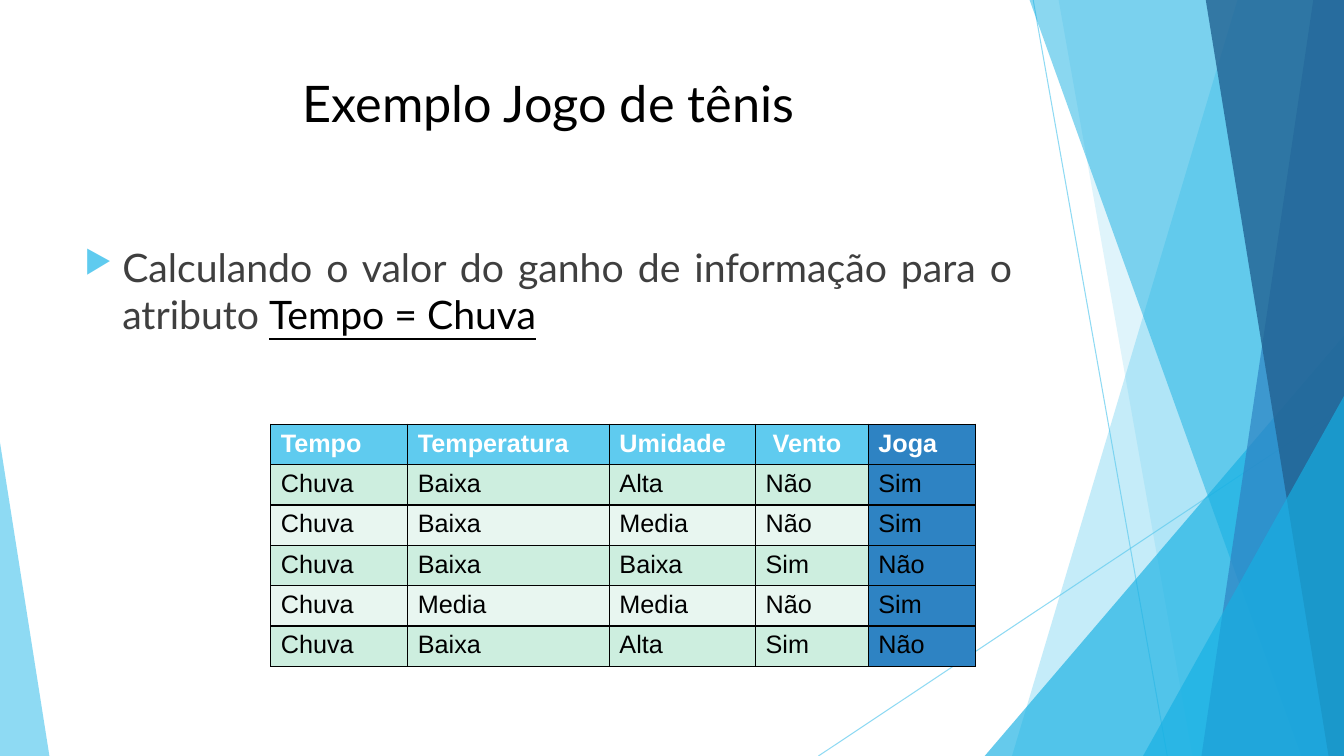
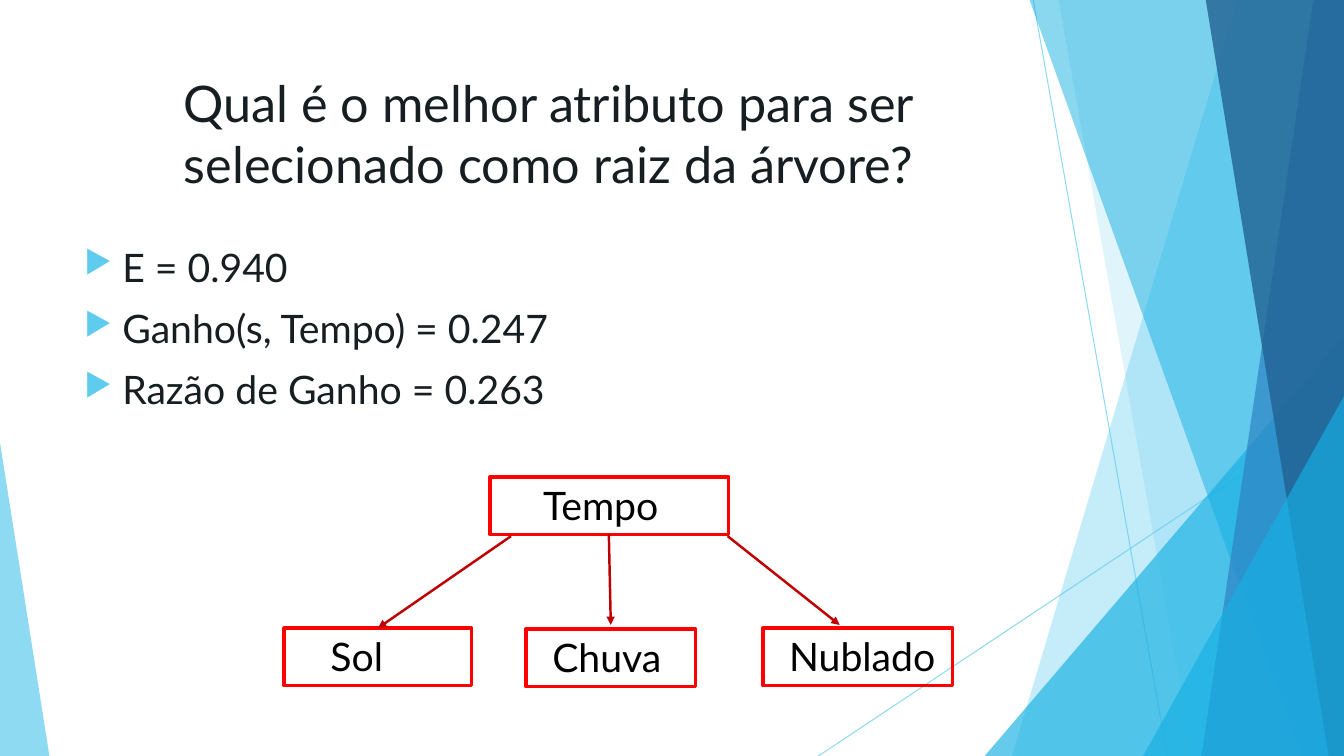
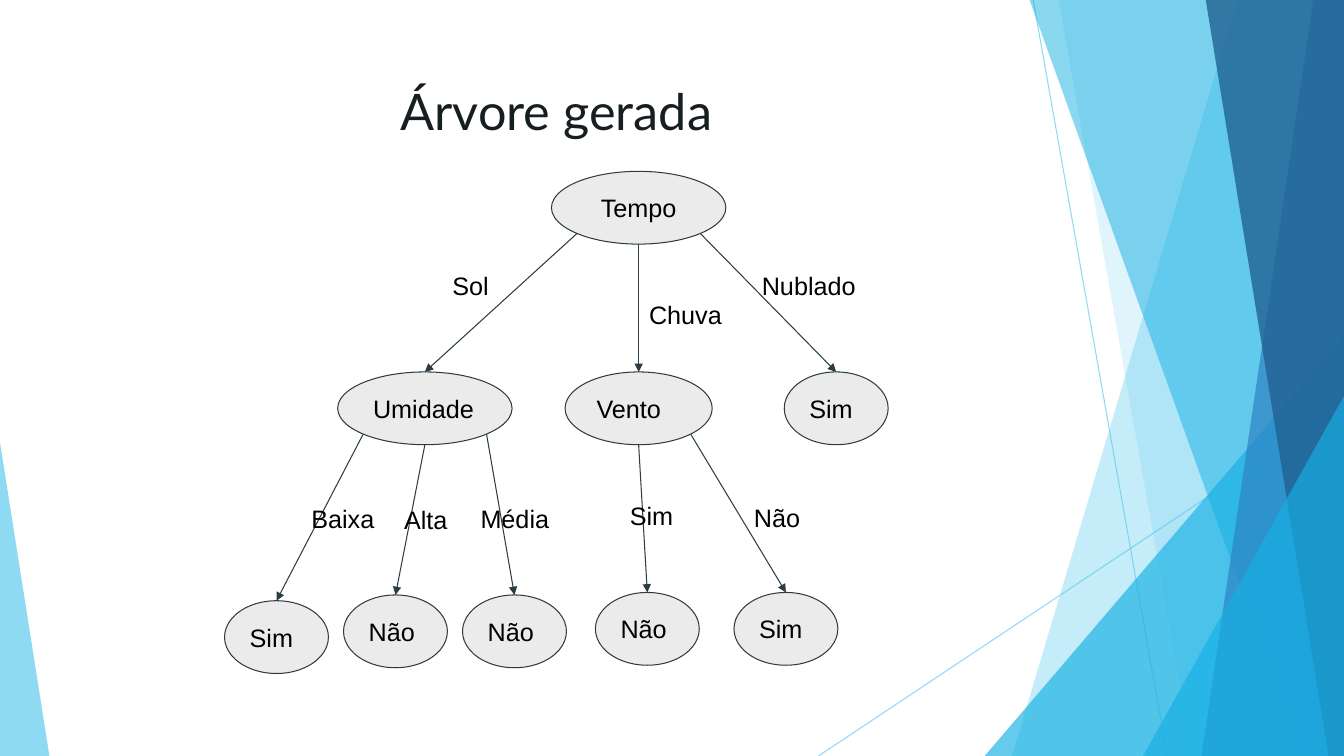
import pptx
import pptx.dml.color
import pptx.enum.shapes
import pptx.enum.text
import pptx.oxml
import pptx.oxml.ns
import pptx.util
from lxml import etree

Pt = pptx.util.Pt
RGBColor = pptx.dml.color.RGBColor
SHAPE = pptx.enum.shapes.MSO_SHAPE
STRAIGHT = pptx.enum.shapes.MSO_CONNECTOR.STRAIGHT
ALIGN = pptx.enum.text.PP_ALIGN
ANCHOR = pptx.enum.text.MSO_ANCHOR
qn = pptx.oxml.ns.qn

# Colours
SKY = RGBColor(0x5F, 0xCB, 0xEF)
CYAN = RGBColor(0x16, 0xB0, 0xE3)
BLUE = RGBColor(0x2E, 0x83, 0xC3)
NAVY = RGBColor(0x22, 0x62, 0x92)
BLACK = RGBColor(0, 0, 0)
WHITE = RGBColor(0xFF, 0xFF, 0xFF)
INK = RGBColor(0x16, 0x1E, 0x21)
GREY = RGBColor(0x3F, 0x3F, 0x3F)
SLATE = RGBColor(0x2C, 0x3C, 0x43)
NODE = RGBColor(0xEB, 0xEB, 0xEB)
RED = RGBColor(0xFF, 0, 0)
DARK_RED = RGBColor(0xC0, 0, 0)
BANDS = (RGBColor(0xE8, 0xF6, 0xF0), RGBColor(0xCD, 0xEE, 0xDF))

# Sizes and text formats
W, H = 960, 540
DIAGONAL = 0.707
TITLE = {"name": "Lato", "size": Pt(36)}
BODY = {"name": "Lato", "size": Pt(28)}
SMALL = {"name": "Arial", "size": Pt(18)}
TEXT_INSETS = (7.2, 3.6, 7.2, 3.6)
EVEN_INSETS = (7.2, 7.2, 7.2, 7.2)


def apply(obj, fmt):
    for name, value in fmt.items():
        setattr(obj, name, value)


def add_run(p, text, fmt, color=BLACK):
    r = p.add_run()
    r.text = text
    apply(r.font, fmt)
    r.font.color.rgb = color


def set_frame(tf, insets, anchor=ANCHOR.TOP):
    sides = ("margin_left", "margin_top", "margin_right", "margin_bottom")
    apply(tf, dict(zip(sides, map(Pt, insets))))
    apply(tf, {"word_wrap": True, "vertical_anchor": anchor})


def add_text(s, box, insets=TEXT_INSETS):
    tf = s.shapes.add_textbox(*map(Pt, box)).text_frame
    set_frame(tf, insets)
    return tf


def paint(sp, fill=None, line=None, width=0.75):
    sp.shadow.inherit = False
    if fill is None:
        sp.fill.background()
    else:
        sp.fill.solid()
        sp.fill.fore_color.rgb = fill
    if line is None:
        sp.line.fill.background()
    else:
        sp.line.color.rgb = line
        sp.line.width = Pt(width)


def set_alpha(sp, percent):
    for color in sp.element.spPr.iter(qn("a:srgbClr")):
        etree.SubElement(color, qn("a:alpha"), val=str(percent * 1000))


def add_line(s, start, end, color, width=0.75, arrow=True):
    c = s.shapes.add_connector(STRAIGHT, *map(Pt, (*start, *end)))
    c.line.color.rgb = color
    c.line.width = Pt(width)
    if arrow:
        etree.SubElement(c.line._get_or_add_ln(), qn("a:tailEnd"), type="triangle")
    etree.SubElement(c.element.spPr, qn("a:effectLst"))
    return c


# Shared backdrop, kept on the layout
def add_strip(s, top_x, bottom_x, color, alpha):
    """Band from a slanted left edge to the right side of the slide."""
    fb = s.shapes.build_freeform(Pt(top_x), Pt(-1), scale=1.0)
    corners = ((W, -1), (W, H), (bottom_x, H))
    fb.add_line_segments([(Pt(x), Pt(y)) for x, y in corners], close=True)
    sp = fb.convert_to_shape()
    paint(sp, color)
    set_alpha(sp, alpha)


def add_corner(s, x, y, width, apex, color, alpha):
    """Triangle standing on the bottom edge of the slide."""
    sp = s.shapes.add_shape(SHAPE.ISOSCELES_TRIANGLE, *map(Pt, (x, y, width, H - y)))
    sp.adjustments[0] = apex
    paint(sp, color)
    set_alpha(sp, alpha)


def build_backdrop(s, layout):
    for ph in list(layout.placeholders):
        layout.shapes.element.remove(ph.element)
    for start, end in (((738, 0), (833.8, H)), ((W, 290.2), (584.6, H))):
        set_alpha(add_line(s, start, end, SKY, arrow=False), 70)
    add_strip(s, 884.2, 722.9, SKY, 36)
    add_strip(s, 756, 851.8, SKY, 20)
    add_corner(s, 703.4, 239.8, 256.6, 1, CYAN, 66)
    add_strip(s, 735.1, 929.5, CYAN, 50)
    add_strip(s, 938.2, 858.2, BLUE, 70)
    add_strip(s, 861.1, 949, NAVY, 80)
    add_corner(s, 816.5, 283, 143.5, 1, CYAN, 66)
    add_corner(s, 0, 316.1, 35.3, 0, SKY, 70)
    for sp in list(s.shapes):
        layout.shapes.element.append(sp.element)


# Text elements
def add_title(s, text, color=INK, x=53.3, y=48.2):
    p = add_text(s, (x, y, 676.8, 103.7)).paragraphs[0]
    p.alignment = ALIGN.CENTER
    add_run(p, text, TITLE, color)


def add_bullets(s, box, items):
    """Each item is a list of (text, colour, extra format) runs."""
    tf = add_text(s, box)
    for i, runs in enumerate(items):
        p = tf.add_paragraph() if i else tf.paragraphs[0]
        apply(p, {"alignment": ALIGN.JUSTIFY, "space_before": Pt(10 if i else 0)})
        pPr = p._p.get_or_add_pPr()
        pPr.set("marL", str(Pt(27)))
        pPr.set("indent", str(Pt(-27)))
        clr = etree.SubElement(pPr, qn("a:buClr"))
        etree.SubElement(clr, qn("a:srgbClr"), val=str(SKY))
        etree.SubElement(pPr, qn("a:buSzPct"), val="80000")
        etree.SubElement(pPr, qn("a:buChar"), char="▶")
        for text, color, extra in runs:
            add_run(p, text, {**BODY, **extra}, color)


# Table
def set_borders(cell):
    tcPr = cell._tc.get_or_add_tcPr()
    for i, side in enumerate(("lnL", "lnR", "lnT", "lnB")):
        ln = etree.Element(qn("a:" + side), w=str(Pt(1)))
        fill = etree.SubElement(ln, qn("a:solidFill"))
        etree.SubElement(fill, qn("a:srgbClr"), val=str(BLACK))
        tcPr.insert(i, ln)


def add_table(s, x, y, widths, row_h, rows):
    frame = s.shapes.add_table(len(rows), len(widths), Pt(x), Pt(y),
                               Pt(sum(widths)), Pt(row_h * len(rows)))
    table = frame.table
    apply(table, {"first_row": False, "horz_banding": False})
    for col, width in zip(table.columns, widths):
        col.width = Pt(width)
    for i, row in enumerate(rows):
        table.rows[i].height = Pt(row_h)
        for j, text in enumerate(row):
            cell = table.cell(i, j)
            last = j == len(row) - 1
            cell.fill.solid()
            cell.fill.fore_color.rgb = BLUE if last else BANDS[i % 2] if i else SKY
            add_run(cell.text_frame.paragraphs[0], text,
                    {**SMALL, "bold": i == 0}, BLACK if i else WHITE)
            set_borders(cell)


# Tree elements
def add_box(s, x, y, width, text, indent):
    sp = s.shapes.add_shape(SHAPE.RECTANGLE, *map(Pt, (x, y, width, 41.2)))
    paint(sp, line=RED, width=2.5)
    set_frame(sp.text_frame, (indent, 3, 0, 3))
    p = sp.text_frame.paragraphs[0]
    p.alignment = ALIGN.LEFT
    add_run(p, text, BODY)


def add_node(s, cx, y, width, text, align=ALIGN.LEFT):
    """Ellipse centred on cx; returns its centre x, top and width."""
    sp = s.shapes.add_shape(SHAPE.OVAL, *map(Pt, (cx - width / 2, y, width, 52)))
    paint(sp, NODE, SLATE)
    set_frame(sp.text_frame, EVEN_INSETS, ANCHOR.MIDDLE)
    p = sp.text_frame.paragraphs[0]
    p.alignment = align
    add_run(p, text, SMALL)
    return cx, y, width


def add_branch(s, parent, child, side):
    """Arrow from the lower left (-1), bottom (0) or lower right (1) of a node."""
    cx, y, width = parent
    start = (cx + side * DIAGONAL * width / 2,
             y + 26 + 26 * (DIAGONAL if side else 1))
    add_line(s, start, child[:2], SLATE)


def add_label(s, x, y, width, text):
    tf = add_text(s, (x, y, width, 26.6), EVEN_INSETS)
    add_run(tf.paragraphs[0], text, SMALL)


# Slides
def gain_slide(s):
    add_title(s, "Exemplo Jogo de tênis", BLACK)
    add_bullets(s, (53.3, 170, 676.8, 305.3), [[
        ("Calculando o valor do ganho de informação para o atributo ", GREY, {}),
        ("Tempo = Chuva", BLACK, {"underline": True})]])
    add_table(s, 193.4, 303, (97.9, 144, 104.4, 80.6, 76.3), 27.4, (
        ("Tempo", "Temperatura", "Umidade", " Vento", "Joga"),
        ("Chuva", "Baixa", "Alta", "Não", "Sim"),
        ("Chuva", "Baixa", "Media", "Não", "Sim"),
        ("Chuva", "Baixa", "Baixa", "Sim", "Não"),
        ("Chuva", "Media", "Media", "Não", "Sim"),
        ("Chuva", "Baixa", "Alta", "Sim", "Não")))


def root_slide(s):
    add_title(s, "Qual é o melhor atributo para ser selecionado como raiz da árvore?")
    lines = ("E = 0.940", "Ganho(s, Tempo) = 0.247", "Razão de Ganho = 0.263")
    add_bullets(s, (53.3, 170, 717.1, 133.9), [[(t, INK, {})] for t in lines])
    for box in ((349.9, 340.6, 170.6, "Tempo", 38), (375.8, 449.3, 121, "Chuva", 18.7),
                (203, 448.6, 133.9, "Sol", 33.1), (545, 448.6, 135.4, "Nublado", 18.7)):
        add_box(s, *box)
    for start, end in (((365, 383), (270, 448.6)), ((434.9, 381.6), (436.3, 446.4)),
                       ((519.8, 383), (599.8, 446.4))):
        add_line(s, start, end, DARK_RED, 1.75)


def tree_slide(s):
    add_title(s, "Árvore gerada", x=59, y=54)
    tempo = add_node(s, 456.2, 122.4, 124.6, "Tempo", ALIGN.CENTER)
    umidade = add_node(s, 303.5, 265.7, 124.6, "Umidade")
    vento = add_node(s, 456.2, 265.7, 105.1, "Vento")

    # Leaves: parent, side, centre x, top, text
    for parent, side, cx, y, text in (
            (tempo, 1, 597.3, 265.7, "Sim"), (umidade, -1, 197.5, 429.1, "Sim"),
            (umidade, 0, 282.5, 425, "Não"), (umidade, 1, 367.5, 425, "Não"),
            (vento, 0, 462.4, 423.2, "Não"), (vento, 1, 561.4, 423.2, "Sim")):
        add_branch(s, parent, add_node(s, cx, y, 74.2, text), side)
    add_branch(s, tempo, umidade, -1)
    add_branch(s, tempo, vento, 0)

    for label in ((316, 185.8, 60, "Sol"), (456.5, 206.6, 80.6, "Chuva"),
                  (537.1, 185.8, 96.5, "Nublado"), (215.3, 352.1, 61, "Baixa"),
                  (281.5, 352.8, 60, "Alta"), (336.2, 352.1, 74.2, "Média"),
                  (442.8, 349.9, 60, "Sim"), (531.4, 351.4, 60, "Não")):
        add_label(s, *label)


def main():
    prs = pptx.Presentation()
    apply(prs, {"slide_width": Pt(W), "slide_height": Pt(H)})
    layout = prs.slide_layouts[6]
    for i, build in enumerate((gain_slide, root_slide, tree_slide)):
        s = prs.slides.add_slide(layout)
        if i == 0:
            build_backdrop(s, layout)
        build(s)
    prs.save("out.pptx")


if __name__ == "__main__":
    main()
